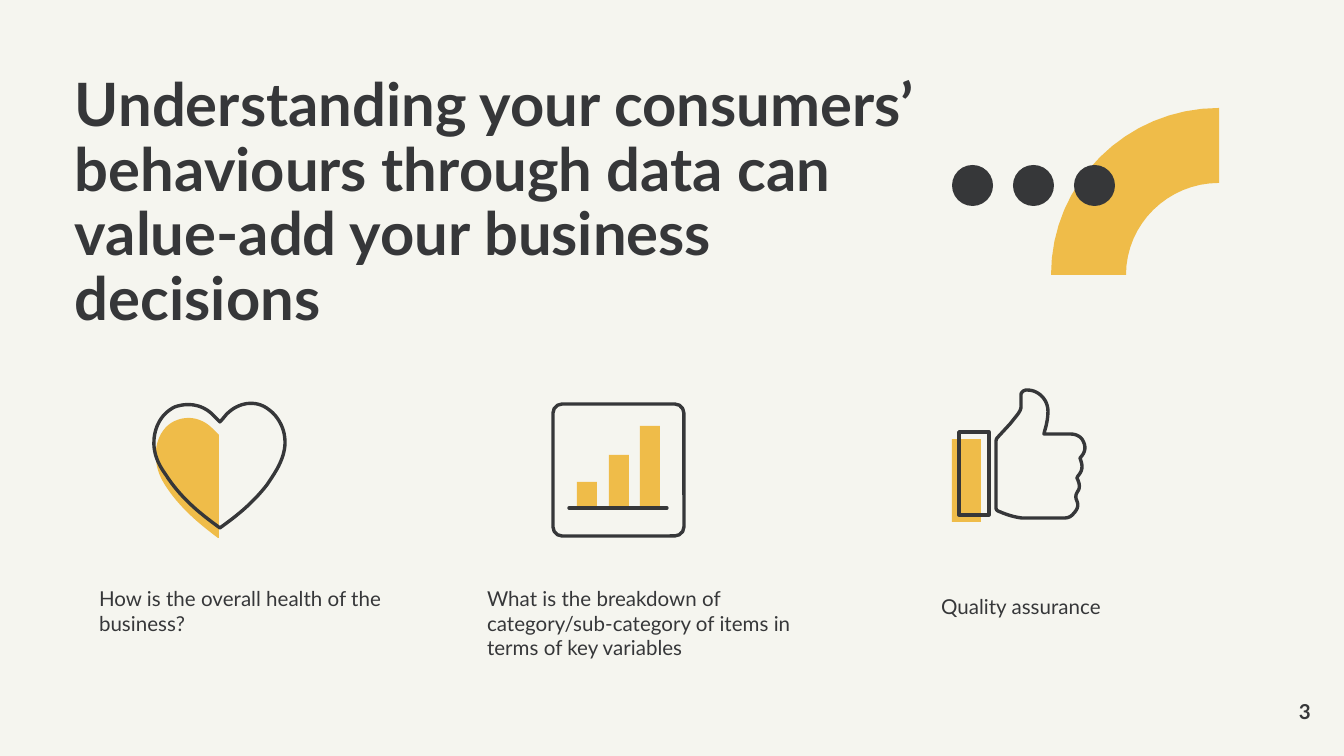
import dataclasses

import lxml.etree
import pptx
import pptx.dml.color
import pptx.enum.shapes
import pptx.enum.text
import pptx.oxml.ns
import pptx.util


@dataclasses.dataclass(frozen=True)
class Theme:
    background: str = "F5F5EF"
    ink: str = "363739"
    accent: str = "EFBC49"
    font: str = "Lato"
    title_size: int = 32
    text_size: int = 11
    stroke: float = 1.8


theme = Theme()
color = pptx.dml.color.RGBColor.from_string
kinds = pptx.enum.shapes.MSO_SHAPE
alignments = pptx.enum.text.PP_ALIGN
anchors = pptx.enum.text.MSO_ANCHOR
qn = pptx.oxml.ns.qn
px = 914400 / 134.4


def paint(shape, fill=None, line=None):
    shape.shadow.inherit = False
    if fill:
        shape.fill.solid()
        shape.fill.fore_color.rgb = color(fill)
    else:
        shape.fill.background()
    if line:
        shape.line.color.rgb = color(line)
        shape.line.width = pptx.util.Pt(theme.stroke)
    else:
        shape.line.fill.background()
    return shape


def trace(shapes, start, segments):
    points = [start]
    for segment in segments:
        if len(segment) == 2:
            points.append(segment)
            continue
        x0, y0 = points[-1]
        x1, y1, x2, y2, x3, y3 = segment
        for step in range(1, 17):
            t = step / 16
            u = 1 - t
            a, b, c, d = u**3, 3 * u * u * t, 3 * u * t * t, t**3
            points.append((a * x0 + b * x1 + c * x2 + d * x3,
                           a * y0 + b * y1 + c * y2 + d * y3))
    scaled = [(round(x * px), round(y * px)) for x, y in points]
    builder = shapes.build_freeform(*scaled[0], scale=1.0)
    builder.add_line_segments(scaled[1:], close=True)
    return builder.convert_to_shape()


presentation = pptx.Presentation()
presentation.slide_width = round(1344 * px)
presentation.slide_height = round(756 * px)
slide = presentation.slides.add_slide(presentation.slide_layouts.get_by_name("Comparison"))
slide.background.fill.solid()
slide.background.fill.fore_color.rgb = color(theme.background)

title, health, breakdown, quality, spare = slide.placeholders
spare.element.getparent().remove(spare.element)
page_number = slide.shapes.add_textbox(0, 0, 0, 0)

texts = [
    (title, (75, 75, 866, 106), theme.title_size, True, alignments.LEFT, anchors.TOP, 0.9,
     "Understanding your consumers’ behaviours through data can value-add your business decisions"),
    (health, (99, 586, 310, 312), theme.text_size, False, alignments.LEFT, anchors.TOP, 1.0,
     "How is the overall health of the business?"),
    (breakdown, (487, 586, 310, 312), theme.text_size, False, alignments.LEFT, anchors.TOP, 1.0,
     "What is the breakdown of category/sub-category of items in terms of key variables"),
    (quality, (941, 594, 310, 312), theme.text_size, False, alignments.LEFT, anchors.TOP, 1.0,
     "Quality assurance"),
    (page_number, (1231, 698, 80, 27), theme.text_size, True, alignments.RIGHT, anchors.MIDDLE, 1.0,
     "3"),
]
for shape, box, size, bold, alignment, anchor, spacing, wording in texts:
    shape.left, shape.top, shape.width, shape.height = [round(length * px) for length in box]
    frame = shape.text_frame
    frame.word_wrap = True
    frame.auto_size = pptx.enum.text.MSO_AUTO_SIZE.NONE
    frame.vertical_anchor = anchor
    frame.margin_left = frame.margin_top = frame.margin_right = frame.margin_bottom = 0
    paragraph = frame.paragraphs[0]
    paragraph.alignment = alignment
    paragraph.line_spacing = spacing
    paragraph.space_before = pptx.util.Pt(0)
    properties = paragraph._p.get_or_add_pPr()
    properties.set("marL", "0")
    properties.set("indent", "0")
    lxml.etree.SubElement(properties, qn("a:buNone"))
    run = paragraph.add_run()
    run.text = wording
    run.font.name = theme.font
    run.font.size = pptx.util.Pt(size)
    run.font.bold = bold
    run.font.color.rgb = color(theme.ink)

arch = trace(slide.shapes, (1219, 183), [
    (1219, 108), (1126, 108, 1051, 183, 1051, 275),
    (1126, 275), (1126, 224, 1168, 183, 1219, 183)])
paint(arch, theme.accent)

heart_icon = slide.shapes.add_group_shape().shapes
thumb_icon = slide.shapes.add_group_shape().shapes
chart_icon = slide.shapes.add_group_shape().shapes

heart_half = trace(heart_icon, (214, 430), [
    (203, 418, 188, 415, 175, 421), (163, 426, 155, 441, 156, 456),
    (156, 468, 160, 477, 165, 485), (179, 507, 198, 523, 218, 538),
    (219, 538), (219, 435)])
paint(heart_half, theme.accent)

heart_outline = trace(heart_icon, (220, 528), [
    (199, 513, 180, 497, 166, 475), (158, 464, 154, 454, 154, 443),
    (154, 427, 162, 413, 175, 407), (189, 402, 204, 405, 214, 416),
    (220, 422), (223, 419, 225, 416, 227, 414),
    (239, 402, 256, 400, 268, 409), (281, 418, 288, 435, 284, 452),
    (281, 465, 273, 476, 267, 485), (253, 503, 237, 516, 220, 528)])
paint(heart_outline, line=theme.ink)

boxes = [(slide.shapes, kinds.OVAL, (952 + 61 * index, 165, 41, 41), theme.ink, None)
         for index in range(3)]
boxes += [
    (thumb_icon, kinds.RECTANGLE, (952, 439, 29, 83), theme.accent, None),
    (thumb_icon, kinds.RECTANGLE, (959, 432, 30, 83), None, theme.ink),
    (chart_icon, kinds.ROUNDED_RECTANGLE, (553, 404, 131, 132), None, theme.ink),
]
baseline = 508
boxes += [(chart_icon, kinds.RECTANGLE, (left, baseline - height, 20, height), theme.accent, None)
          for left, height in [(577, 26), (609, 53), (640, 82)]]
for shapes, kind, box, fill, line in boxes:
    shape = paint(shapes.add_shape(kind, *[round(length * px) for length in box]), fill, line)
    if kind == kinds.ROUNDED_RECTANGLE:
        shape.adjustments[0] = 0.07

axis = chart_icon.add_connector(
    pptx.enum.shapes.MSO_CONNECTOR.STRAIGHT,
    *[round(length * px) for length in (569, baseline, 667, baseline)])
axis.line.color.rgb = color(theme.ink)
axis.line.width = pptx.util.Pt(theme.stroke)
axis.line._get_or_add_ln().set("cap", "rnd")
lxml.etree.SubElement(axis._element.spPr, qn("a:effectLst"))

thumb_outline = trace(thumb_icon, (996, 507), [
    (996, 445), (996, 440, 996, 439, 998, 437), (1010, 424), (1018, 414),
    (1020, 411, 1021, 409, 1021, 407), (1021, 395),
    (1021, 393, 1023, 390, 1027, 390), (1039, 390, 1048, 400, 1048, 411),
    (1048, 417, 1047, 423, 1045, 430), (1044, 434), (1070, 434),
    (1077, 434, 1082, 437, 1084, 443), (1086, 448, 1085, 453, 1080, 458),
    (1083, 466, 1083, 470, 1078, 476), (1077, 478),
    (1080, 484, 1080, 488, 1078, 491), (1076, 494, 1075, 497, 1077, 501),
    (1079, 506, 1077, 510, 1074, 513), (1071, 517, 1068, 518, 1064, 518),
    (1022, 518), (1013, 517, 1005, 514, 998, 511), (996, 510, 996, 508, 996, 507)])
paint(thumb_outline, line=theme.ink)

presentation.save("out.pptx")
